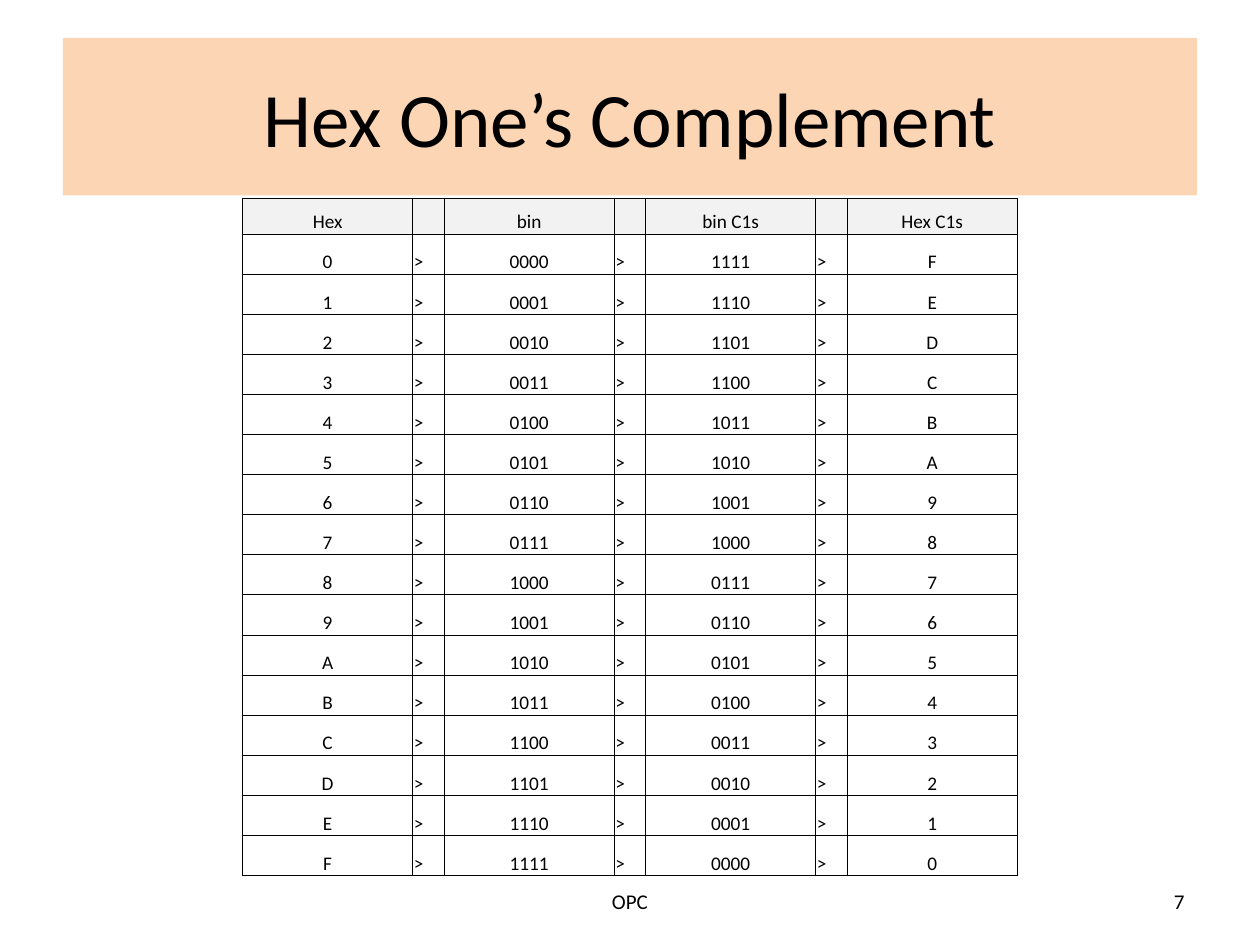
"""Build a slide with a table of hexadecimal one's complements."""
from lxml.etree import SubElement
from pptx import Presentation
from pptx.dml.color import RGBColor
from pptx.enum.shapes import MSO_SHAPE
from pptx.enum.text import MSO_ANCHOR, PP_ALIGN
from pptx.oxml.ns import qn
from pptx.util import Inches, Pt

BLACK = RGBColor(0x00, 0x00, 0x00)
PEACH = RGBColor(0xFC, 0xD5, 0xB5)
PALE_GREY = RGBColor(0xF2, 0xF2, 0xF2)
FONT = "Calibri"
UNITS_PER_INCH = 12
PAGE_COLUMNS, PAGE_ROWS = 120, 90
FOOTER_TOP, FOOTER_HEIGHT = 83.4, 4.8
TABLE_TOP = 18.9
VALUE_WIDTH, ARROW_WIDTH = 16.2, 3
HEADER_HEIGHT, ROW_HEIGHT = 3.4, 3.82
CELL_SIZE = 11
HEADINGS = ["Hex", "", "bin", "", "bin C1s", "", "Hex C1s"]


def grid(units):
    return Inches(units / UNITS_PER_INCH)


def write(frame, text, size, align):
    frame.text = text
    para = frame.paragraphs[0]
    para.alignment = align
    for span in para.runs:
        span.font.name = FONT
        span.font.size = Pt(size)
        span.font.color.rgb = BLACK
    return para


def add_banner(page, text, left, top, width, height):
    banner = page.shapes.add_shape(MSO_SHAPE.RECTANGLE, *map(grid, (left, top, width, height)))
    banner.shadow.inherit = False
    banner.fill.solid()
    banner.fill.fore_color.rgb = PEACH
    banner.line.fill.background()
    banner.text_frame.vertical_anchor = MSO_ANCHOR.MIDDLE
    write(banner.text_frame, text, 44, PP_ALIGN.CENTER)


def add_footer(page, text, left, width, align):
    box = page.shapes.add_textbox(*map(grid, (left, FOOTER_TOP, width, FOOTER_HEIGHT)))
    box.text_frame.word_wrap = True
    box.text_frame.vertical_anchor = MSO_ANCHOR.MIDDLE
    write(box.text_frame, text, 12, align)


def add_borders(cell):
    properties = cell._tc.get_or_add_tcPr()
    for side in ("a:lnL", "a:lnR", "a:lnT", "a:lnB"):
        line = SubElement(properties, qn(side), w=str(Pt(0.5)))
        fill = SubElement(line, qn("a:solidFill"))
        SubElement(fill, qn("a:srgbClr"), val=str(BLACK))


def fill_cell(cell, text, align, is_header):
    cell.margin_left = cell.margin_right = cell.margin_top = Inches(0.01)
    cell.margin_bottom = 0
    cell.vertical_anchor = MSO_ANCHOR.BOTTOM
    para = write(cell.text_frame, text, CELL_SIZE, align)
    if not text:
        SubElement(para._p, qn("a:endParaRPr"), sz=str(CELL_SIZE * 100))
    add_borders(cell)
    if is_header:
        cell.fill.solid()
        cell.fill.fore_color.rgb = PALE_GREY
    else:
        cell.fill.background()


def complement_row(digit):
    inverse = 15 - digit
    return [f"{digit:X}", ">", f"{digit:04b}", ">", f"{inverse:04b}", ">", f"{inverse:X}"]


def add_complement_table(page):
    rows = [HEADINGS] + [complement_row(digit) for digit in range(16)]
    widths = [ARROW_WIDTH if column % 2 else VALUE_WIDTH for column in range(len(HEADINGS))]
    heights = [HEADER_HEIGHT] + [ROW_HEIGHT] * 16
    left = (PAGE_COLUMNS - sum(widths)) / 2
    bounds = map(grid, (left, TABLE_TOP, sum(widths), sum(heights)))
    table = page.shapes.add_table(len(rows), len(widths), *bounds).table
    table.horz_banding = False
    for column, width in zip(table.columns, widths):
        column.width = grid(width)
    for row, height in zip(table.rows, heights):
        row.height = grid(height)
    for row_index, values in enumerate(rows):
        for column_index, text in enumerate(values):
            align = PP_ALIGN.LEFT if column_index % 2 else PP_ALIGN.CENTER
            fill_cell(table.cell(row_index, column_index), text, align, row_index == 0)


def main():
    deck = Presentation()
    deck.slide_width, deck.slide_height = grid(PAGE_COLUMNS), grid(PAGE_ROWS)
    page = deck.slides.add_slide(deck.slide_layouts[6])
    add_banner(page, "Hex One’s Complement", 6, 3.6, 108, 15)
    add_footer(page, "OPC", 41, 38, PP_ALIGN.CENTER)
    add_footer(page, "7", 86, 28, PP_ALIGN.RIGHT)
    add_complement_table(page)
    deck.save("out.pptx")


if __name__ == "__main__":
    main()
